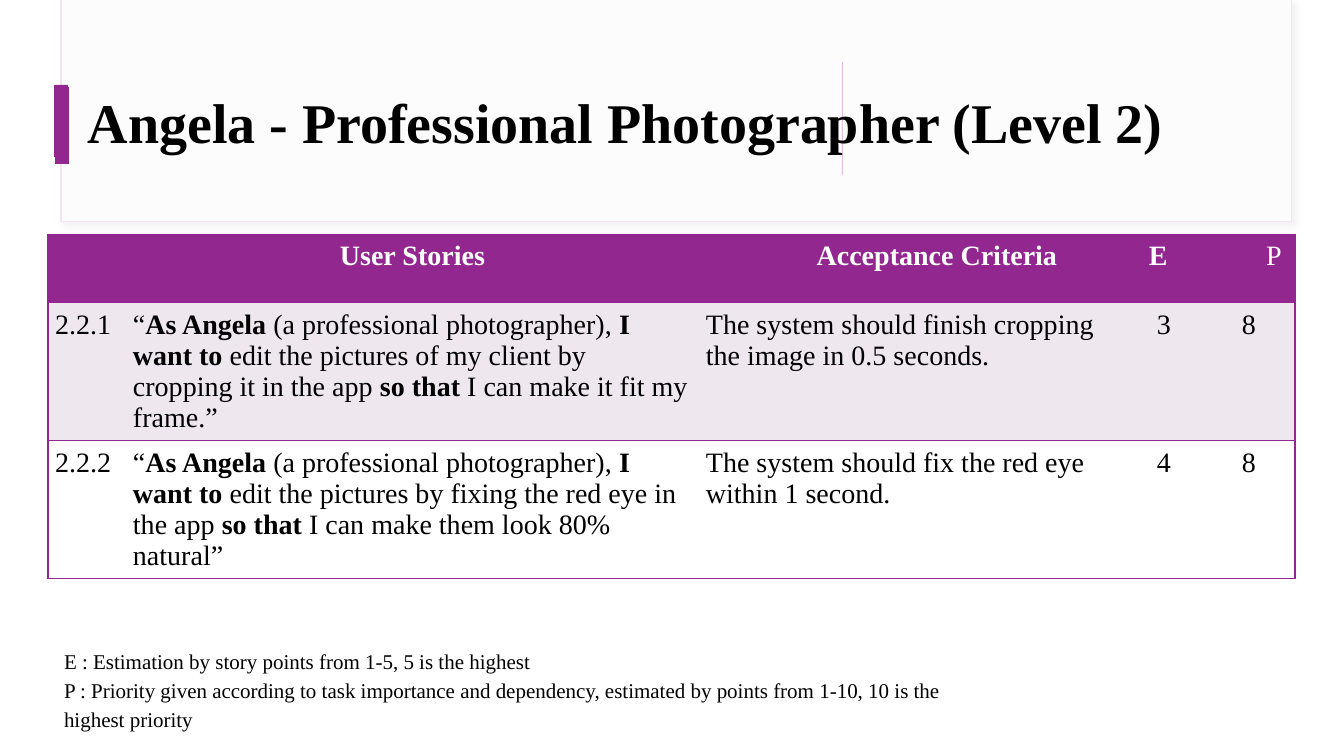
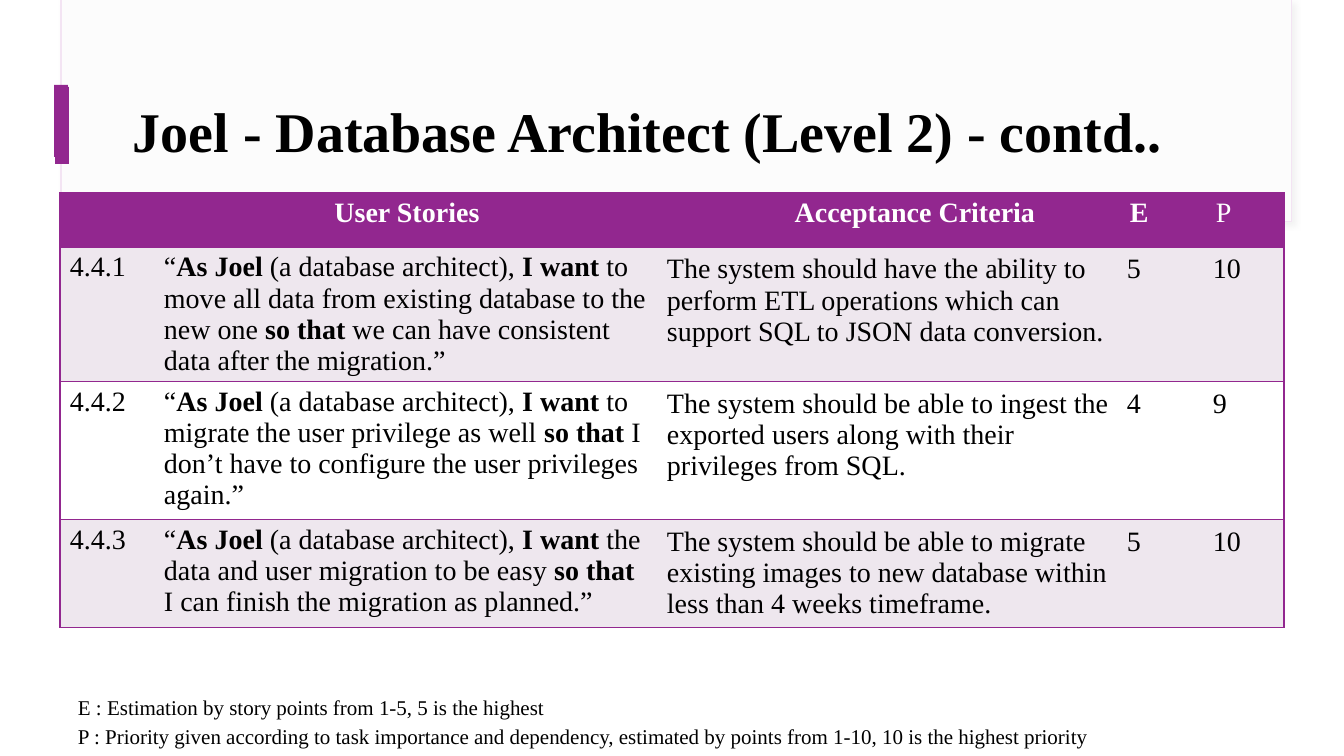
from lxml import etree
from pptx import Presentation
from pptx.dml.color import RGBColor
from pptx.enum.shapes import MSO_SHAPE
from pptx.enum.text import MSO_ANCHOR, MSO_AUTO_SIZE, PP_ALIGN
from pptx.oxml import parse_xml
from pptx.oxml.ns import nsdecls, qn
from pptx.util import Pt

LEFT, CENTER = PP_ALIGN.LEFT, PP_ALIGN.CENTER
PURPLE = RGBColor(0x92, 0x27, 0x8F)
LILAC = RGBColor(0xE1, 0xBF, 0xE1)
PANEL_EDGE = RGBColor(0xF3, 0xE4, 0xF3)
PANEL = RGBColor(0xFC, 0xFC, 0xFC)
ROW_TINT = RGBColor(0xEE, 0xE7, 0xEE)
WHITE = RGBColor(0xFF, 0xFF, 0xFF)
BLACK = RGBColor(0, 0, 0)
FONT = "Times New Roman"
NO_STYLE = "{2D5ABB26-0587-4C30-8999-92F81FD0307C}"
EMU_PER_PX = 914400 / 100.8

PANEL_BOX = (61, 0, 1231, 222)
BARS = [(55, 87, 14, 77), (54, 85, 14, 72)]

NOTES = [
    "E : Estimation by story points from 1-5, 5 is the highest",
    "P : Priority given according to task importance and dependency, "
    "estimated by points from 1-10, 10 is the highest priority",
]
HEADINGS = ["", "*User Stories*", "*Acceptance Criteria*", "*E*", "P"]

# Text between asterisks is bold. Insets are (side, top and bottom).
SLIDES = [
    {
        "title": "Angela - Professional Photographer (Level 2)",
        "title_box": (78, 85, 1188, 113),
        "title_inset": 10, "title_spacing": 0.9, "title_anchor": MSO_ANCHOR.TOP,
        "rule": (842, 62, 1, 113),
        "table_at": (48, 235),
        "columns": [78, 573, 426, 78, 92],
        "row_heights": [67, 138, 138],
        "heading_lefts": [10, 10, 60, 24, 60],
        "heading_aligns": [LEFT, CENTER, CENTER, LEFT, CENTER],
        "body_insets": [(7, 7)] * 5,
        "body_aligns": [LEFT, LEFT, LEFT, CENTER, CENTER],
        "stories": [
            ("2.2.1", "“*As Angela *(a professional photographer), *I want to* edit the "
             "pictures of my client by cropping it in the app *so that* I can make it "
             "fit my frame.”",
             "The system should finish cropping the image in 0.5 seconds.", "3", "8"),
            ("2.2.2", "“*As Angela *(a professional photographer), *I want to* edit the "
             "pictures by fixing the red eye in the app *so that* I can make them look "
             "80% natural”",
             "The system should fix the red eye within 1 second.", "4", "8"),
        ],
        "notes_box": (54, 635, 954, 94),
    },
    {
        "title": "Joel - Database Architect (Level 2) - contd..",
        "title_box": (123, 60, 1121, 130),
        "title_inset": 5, "title_spacing": 1.15, "title_anchor": MSO_ANCHOR.MIDDLE,
        "rule": None,
        "table_at": (60, 193),
        "columns": [94, 506, 460, 86, 78],
        "row_heights": [54, 134, 138, 108],
        "heading_lefts": [10, 10, 60, 10, 10],
        "heading_aligns": [LEFT, CENTER, CENTER, LEFT, LEFT],
        "body_insets": [(10, 5)] * 2 + [(7, 7)] * 3,
        "body_aligns": [LEFT] * 5,
        "stories": [
            ("4.4.1", "“*As Joel *(a database architect),* I want *to move all data from "
             "existing database to the new one *so that* we can have consistent data "
             "after the migration.”",
             "The system should have the ability to perform ETL operations which can "
             "support SQL to JSON data conversion.", "5", "10"),
            ("4.4.2", "“*As Joel *(a database architect),* I want* to migrate the user "
             "privilege as well *so that* I don’t have to configure the user "
             "privileges again.”",
             "The system should be able to ingest the exported users along with their "
             "privileges from SQL.", "4", "9"),
            ("4.4.3", "“*As Joel *(a database architect),* I want *the data and user "
             "migration to be easy *so that* I can finish the migration as planned.”",
             "The system should be able to migrate existing images to new database "
             "within less than 4 weeks timeframe.", "5", "10"),
        ],
        "notes_box": (68, 681, 1207, 73),
    },
]


def px(length):
    return round(length * EMU_PER_PX)


def box_emu(box):
    return [px(length) for length in box]


def add_marked_text(paragraph, text, size, color):
    """Add one run per stretch of text; stretches between asterisks are bold."""
    for index, stretch in enumerate(text.split("*")):
        if stretch:
            run = paragraph.add_run()
            run.text = stretch
            run.font.name = FONT
            run.font.size = Pt(size)
            run.font.bold = index % 2 == 1
            run.font.color.rgb = color


def set_insets(holder, left, top, right, bottom):
    holder.margin_left, holder.margin_top = px(left), px(top)
    holder.margin_right, holder.margin_bottom = px(right), px(bottom)


def add_rect(slide, box, fill, edge=None):
    rect = slide.shapes.add_shape(MSO_SHAPE.RECTANGLE, *box_emu(box))
    rect.shadow.inherit = False
    rect.fill.solid()
    rect.fill.fore_color.rgb = fill
    if edge is None:
        rect.line.fill.background()
    else:
        rect.line.color.rgb = edge
        rect.line.width = Pt(0.75)
    return rect


def add_soft_shadow(shape):
    effects = shape._element.spPr.find(qn("a:effectLst"))
    effects.append(parse_xml(
        f'<a:outerShdw {nsdecls("a")} blurRad="50800" dist="38100" dir="2700000">'
        '<a:srgbClr val="D8D8D8"><a:alpha val="29000"/></a:srgbClr></a:outerShdw>'))


def move_to_layout(shapes, layout):
    """Make the shapes part of the layout, behind everything on its slides."""
    tree = layout.shapes._spTree
    for offset, shape in enumerate(shapes):
        shape._element.nvSpPr.cNvPr.set("id", str(101 + offset))
        tree.insert(2 + offset, shape._element)


def add_border(cell, sides):
    properties = cell._tc.get_or_add_tcPr()
    for index, side in enumerate(side for side in "LRTB" if side in sides):
        line = etree.Element(qn(f"a:ln{side}"), w=str(Pt(1)))
        fill = etree.SubElement(line, qn("a:solidFill"))
        etree.SubElement(fill, qn("a:srgbClr"), val=str(PURPLE))
        properties.insert(index, line)


def fill_cell(cell, text, align, insets, fill, color):
    set_insets(cell, *insets)
    cell.fill.solid()
    cell.fill.fore_color.rgb = fill
    paragraph = cell.text_frame.paragraphs[0]
    paragraph.alignment = align
    paragraph.font.size = Pt(20)
    add_marked_text(paragraph, text, 20, color)


def add_story_table(slide, page):
    columns, heights = page["columns"], page["row_heights"]
    frame = slide.shapes.add_table(
        len(heights), len(columns),
        *box_emu((*page["table_at"], sum(columns), sum(heights))))
    table = frame.table
    table._tbl.tblPr.find(qn("a:tableStyleId")).text = NO_STYLE
    for column, width in zip(table.columns, columns):
        column.width = px(width)
    for row, height in zip(table.rows, heights):
        row.height = px(height)

    for r, texts in enumerate([HEADINGS, *page["stories"]]):
        for c, text in enumerate(texts):
            cell = table.cell(r, c)
            if r == 0:
                insets = (page["heading_lefts"][c], 5, 10, 5)
                fill_cell(cell, text, page["heading_aligns"][c], insets, PURPLE, WHITE)
            else:
                fill = ROW_TINT if r % 2 else WHITE
                insets = page["body_insets"][c] * 2
                fill_cell(cell, text, page["body_aligns"][c], insets, fill, BLACK)
            outer = {0: "L", len(columns) - 1: "R"}.get(c, "")
            add_border(cell, outer + "TB")


def set_title(slide, page):
    title = slide.shapes.title
    title.left, title.top, title.width, title.height = box_emu(page["title_box"])
    frame = title.text_frame
    frame.word_wrap = True
    frame.auto_size = MSO_AUTO_SIZE.NONE
    frame.vertical_anchor = page["title_anchor"]
    inset = page["title_inset"]
    set_insets(frame, 10, inset, 10, inset)
    paragraph = frame.paragraphs[0]
    paragraph.alignment = LEFT
    paragraph.line_spacing = page["title_spacing"]
    add_marked_text(paragraph, f"*{page['title']}*", 40, BLACK)


def add_notes_key(slide, box):
    frame = slide.shapes.add_textbox(*box_emu(box)).text_frame
    frame.word_wrap = True
    set_insets(frame, 10, 10, 10, 10)
    for index, note in enumerate(NOTES):
        paragraph = frame.add_paragraph() if index else frame.paragraphs[0]
        paragraph.line_spacing = 1.15
        add_marked_text(paragraph, note, 15, BLACK)


def main():
    deck = Presentation()
    deck.slide_width, deck.slide_height = px(1344), px(756)
    layout = deck.slide_layouts[5]
    for number, page in enumerate(SLIDES):
        slide = deck.slides.add_slide(layout)
        if number == 0:
            panel = add_rect(slide, PANEL_BOX, PANEL, PANEL_EDGE)
            add_soft_shadow(panel)
            bars = [add_rect(slide, bar, PURPLE) for bar in BARS]
            move_to_layout([panel, *bars], layout)
        if page["rule"]:
            rule = add_rect(slide, page["rule"], LILAC)
            slide.shapes._spTree.insert(2, rule._element)
        set_title(slide, page)
        add_story_table(slide, page)
        add_notes_key(slide, page["notes_box"])
    deck.save("out.pptx")


if __name__ == "__main__":
    main()
